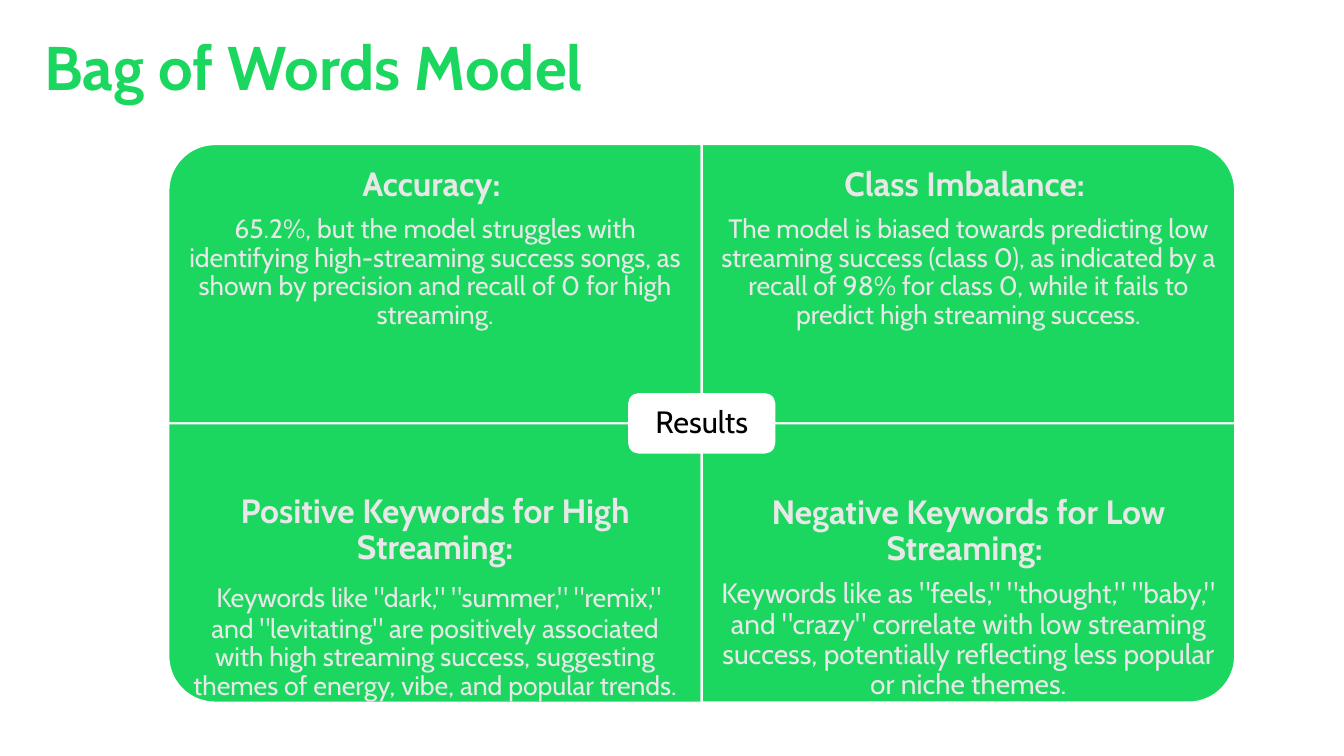
"""Build the Bag of Words Model results slide as a four-part matrix."""
from pptx import Presentation
from pptx.dml.color import RGBColor
from pptx.enum.shapes import MSO_SHAPE
from pptx.enum.text import MSO_ANCHOR, MSO_AUTO_SIZE, PP_ALIGN
from pptx.util import Inches, Pt

TITLE = "Bag of Words Model"
CENTRE_LABEL = "Results"
QUADRANTS = [
    {"column": 0, "row": 0, "rotation": 270, "heading": "Accuracy: ",
     "body": [("65.2%, but the model struggles with identifying high-streaming success songs, "
               "as shown by precision and recall of 0 for high streaming.", 19, False)]},
    {"column": 1, "row": 0, "rotation": 0, "heading": "Class Imbalance: ",
     "body": [("The model is biased towards predicting low streaming success (class 0), as "
               "indicated by a recall of 98% for class 0, while it fails to predict high "
               "streaming success.", 19, False)]},
    {"column": 0, "row": 1, "rotation": 180, "heading": "Positive Keywords for High Streaming:",
     "body": [(" ", 24, True),
              ("Keywords like \"dark,\" \"summer,\" \"remix,\" and \"levitating\" are positively "
               "associated with high streaming success, suggesting themes of energy, vibe, and "
               "popular trends.", 19, False)]},
    {"column": 1, "row": 1, "rotation": 90, "heading": "Negative Keywords for Low Streaming: ",
     "body": [("Keywords like as \"feels,\" \"thought,\" \"baby,\" and \"crazy\" correlate with low "
               "streaming success, potentially reflecting less popular or niche themes.",
               20, False)]},
]
COLORS = {"green": "1BD760", "light": "E8E8E8", "white": "FFFFFF", "black": "000000"}
FONT = "Cabin"
SLIDE_WIDTH, SLIDE_HEIGHT = 13.33, 7.5
GRID_LEFT, GRID_TOP = 1.67, 1.43
COLUMN_WIDTH, ROW_HEIGHT = 5.29, 2.77
TEXT_HEIGHT = ROW_HEIGHT * 0.75
LABEL_WIDTH, LABEL_HEIGHT = 1.44, 0.58


def color(name):
    return RGBColor.from_string(COLORS[name])


def set_values(target, values):
    for name, value in values.items():
        setattr(target, name, value)


def fill_frame(frame, paragraphs, color_name, margin, align=PP_ALIGN.CENTER, spacing=0.35):
    edges = ("margin_left", "margin_top", "margin_right", "margin_bottom")
    set_values(frame, {"word_wrap": True, "auto_size": MSO_AUTO_SIZE.NONE,
                       "vertical_anchor": MSO_ANCHOR.MIDDLE,
                       **{edge: Inches(margin) for edge in edges}})
    for index, runs in enumerate(paragraphs):
        paragraph = frame.add_paragraph() if index else frame.paragraphs[0]
        set_values(paragraph, {"alignment": align, "line_spacing": 0.9, "space_before": Pt(0),
                               "space_after": Pt(spacing * runs[-1][1])})
        for text, size, bold in runs:
            run = paragraph.add_run()
            run.text = text
            set_values(run.font, {"name": FONT, "size": Pt(size), "bold": bold})
            run.font.color.rgb = color(color_name)


def add_panel(slide, kind, left, top, width, height, fill_name, rotation=0):
    panel = slide.shapes.add_shape(kind, *map(Inches, (left, top, width, height)))
    set_values(panel, {"rotation": rotation})
    panel.shadow.inherit = False
    panel.fill.solid()
    panel.fill.fore_color.rgb = color(fill_name)
    panel.line.color.rgb = color("white")
    panel.line.width = Pt(1.5)
    return panel


def add_quadrant(slide, quadrant):
    left = GRID_LEFT + quadrant["column"] * COLUMN_WIDTH
    top = GRID_TOP + quadrant["row"] * ROW_HEIGHT
    width, height = COLUMN_WIDTH, ROW_HEIGHT
    if quadrant["rotation"] % 180:
        width, height = height, width
    add_panel(slide, MSO_SHAPE.ROUND_1_RECTANGLE, left + (COLUMN_WIDTH - width) / 2,
              top + (ROW_HEIGHT - height) / 2, width, height, "green", quadrant["rotation"])
    text_top = top + quadrant["row"] * (ROW_HEIGHT - TEXT_HEIGHT)
    box = slide.shapes.add_textbox(*map(Inches, (left, text_top, COLUMN_WIDTH, TEXT_HEIGHT)))
    fill_frame(box.text_frame, [[(quadrant["heading"], 24, True)], quadrant["body"]],
               "light", 0.19)


def main():
    presentation = Presentation()
    set_values(presentation, {"slide_width": Inches(SLIDE_WIDTH),
                              "slide_height": Inches(SLIDE_HEIGHT)})
    slide = presentation.slides.add_slide(presentation.slide_layouts[5])
    title = slide.shapes.title
    set_values(title, {"left": Inches(0.34), "top": Inches(-0.02),
                       "width": Inches(11.5), "height": Inches(1.45)})
    fill_frame(title.text_frame, [[(TITLE, 44, True)]], "green", 0.1, PP_ALIGN.LEFT, 0)
    for quadrant in QUADRANTS:
        add_quadrant(slide, quadrant)
    label = add_panel(slide, MSO_SHAPE.ROUNDED_RECTANGLE,
                      GRID_LEFT + COLUMN_WIDTH - LABEL_WIDTH / 2,
                      GRID_TOP + ROW_HEIGHT - LABEL_HEIGHT / 2,
                      LABEL_WIDTH, LABEL_HEIGHT, "white")
    fill_frame(label.text_frame, [[(CENTRE_LABEL, 22, False)]], "black", 0.09, spacing=0)
    presentation.save("out.pptx")


if __name__ == "__main__":
    main()
